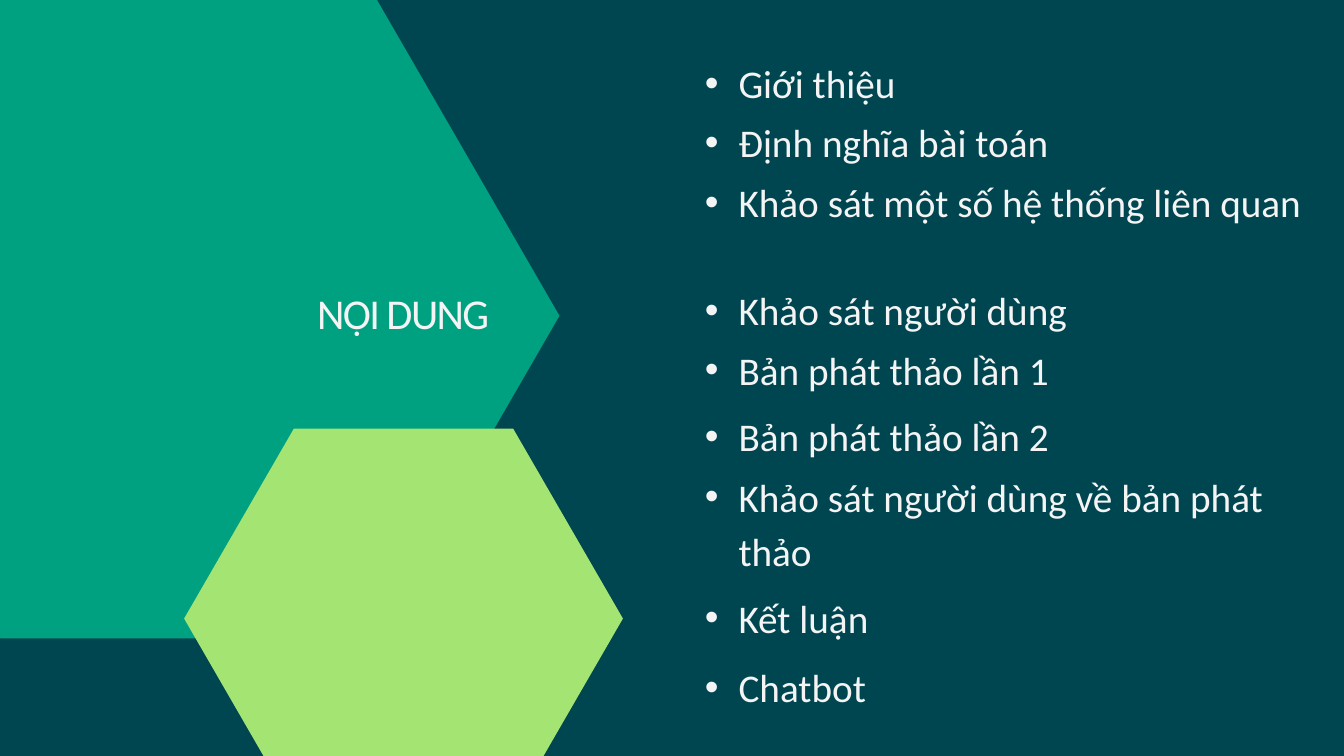
from lxml import etree
from pptx import Presentation
from pptx import util as u
from pptx.dml.color import RGBColor
from pptx.enum import text
from pptx.oxml.ns import qn

NIGHT = RGBColor(0x00, 0x46, 0x51)
TEAL = RGBColor(0x00, 0xA1, 0x81)
LIME = RGBColor(0xA4, 0xE4, 0x73)
WHITE = RGBColor(0xF4, 0xF4, 0xF4)

COLUMNS, ROWS = 80, 45
LIST_LEFT = 40
SHORT, LINE = 26.72, 3.12

# top row, width in columns, height in rows, wording
TOPICS = [
    (3.08, SHORT, LINE, "Giới thiệu"),
    (6.6, SHORT, LINE, "Định nghĩa bài toán"),
    (10.16, 38.64, 6.36, "Khảo sát một số hệ thống liên quan"),
    (16.6, SHORT, LINE, "Khảo sát người dùng"),
    (20.12, SHORT, LINE, "Bản phát thảo lần 1"),
    (24.08, SHORT, LINE, "Bản phát thảo lần 2"),
    (27.68, 37.12, 6.36, "Khảo sát người dùng về bản phát thảo"),
    (34.88, SHORT, LINE, "Kết luận"),
    (39, SHORT, LINE, "Chatbot"),
]


class AgendaSlide:
    font_name = "Calibri"
    title_format = {"size": u.Pt(45.5), "name": font_name, "bold": False}
    topic_format = {"size": u.Pt(42), "name": font_name}
    frame_format = {
        "margin_left": 0, "margin_top": 0, "margin_right": 0, "margin_bottom": 0,
        "word_wrap": True,
        "vertical_anchor": text.MSO_ANCHOR.TOP,
        "auto_size": text.MSO_AUTO_SIZE.SHAPE_TO_FIT_TEXT,
    }

    def __init__(self, presentation):
        self.column = presentation.slide_width / COLUMNS
        self.row = presentation.slide_height / ROWS
        self.slide = presentation.slides.add_slide(presentation.slide_layouts[5])
        fill = self.slide.background.fill
        fill.solid()
        fill.fore_color.rgb = NIGHT

    def place(self, left, top, width, height):
        """Turn columns and rows into slide lengths."""
        return (round(left * self.column), round(top * self.row),
                round(width * self.column), round(height * self.row))

    def hexagon(self, center_column, center_row, width, height, color):
        corners = [(0.5, 0), (0.25, 0.5), (-0.25, 0.5),
                   (-0.5, 0), (-0.25, -0.5), (0.25, -0.5)]
        points = [self.place(center_column + x * width, center_row + y * height, 0, 0)[:2]
                  for x, y in corners]
        builder = self.slide.shapes.build_freeform(*points[0])
        builder.add_line_segments(points[1:], close=True)
        shape = builder.convert_to_shape()
        shape.shadow.inherit = False
        shape.fill.solid()
        shape.fill.fore_color.rgb = color
        shape.line.fill.background()

    def add_wording(self, shape, wording, line_spacing, font_format):
        frame = shape.text_frame
        for name, value in self.frame_format.items():
            setattr(frame, name, value)
        paragraph = frame.paragraphs[0]
        paragraph.line_spacing = u.Pt(line_spacing)
        run = paragraph.add_run()
        run.text = wording
        for name, value in font_format.items():
            setattr(run.font, name, value)
        run.font.color.rgb = WHITE
        return paragraph

    def title(self, wording, *box):
        shape = self.slide.shapes.title
        shape.left, shape.top, shape.width, shape.height = self.place(*box)
        # Bring the title in front of the hexagons.
        shape.element.getparent().append(shape.element)
        paragraph = self.add_wording(shape, wording, 54.6, self.title_format)
        paragraph.alignment = text.PP_ALIGN.CENTER
        paragraph.runs[0]._r.get_or_add_rPr().set("spc", "-170")

    def topic(self, top, width, height, wording):
        shape = self.slide.shapes.add_textbox(*self.place(LIST_LEFT, top, width, height))
        paragraph = self.add_wording(shape, wording, 58.8, self.topic_format)
        paragraph.level = 1
        properties = paragraph._p.get_or_add_pPr()
        properties.set("marL", str(u.Inches(0.99)))
        properties.set("indent", str(u.Inches(-0.5)))
        etree.SubElement(properties, qn("a:buFont"), typeface="Arial")
        etree.SubElement(properties, qn("a:buChar"), char="•")


def main():
    presentation = Presentation()
    presentation.slide_width = u.Inches(20)
    presentation.slide_height = u.Inches(11.25)
    agenda = AgendaSlide(presentation)
    agenda.hexagon(11.12, 18.8, 44.36, 38.4, TEAL)
    agenda.hexagon(24.02, 36.82, 26.12, 22.6, LIME)
    agenda.title("NỘI DUNG", 14.24, 17.08, 19.52, 3)
    for topic in TOPICS:
        agenda.topic(*topic)
    presentation.save("out.pptx")


if __name__ == "__main__":
    main()
